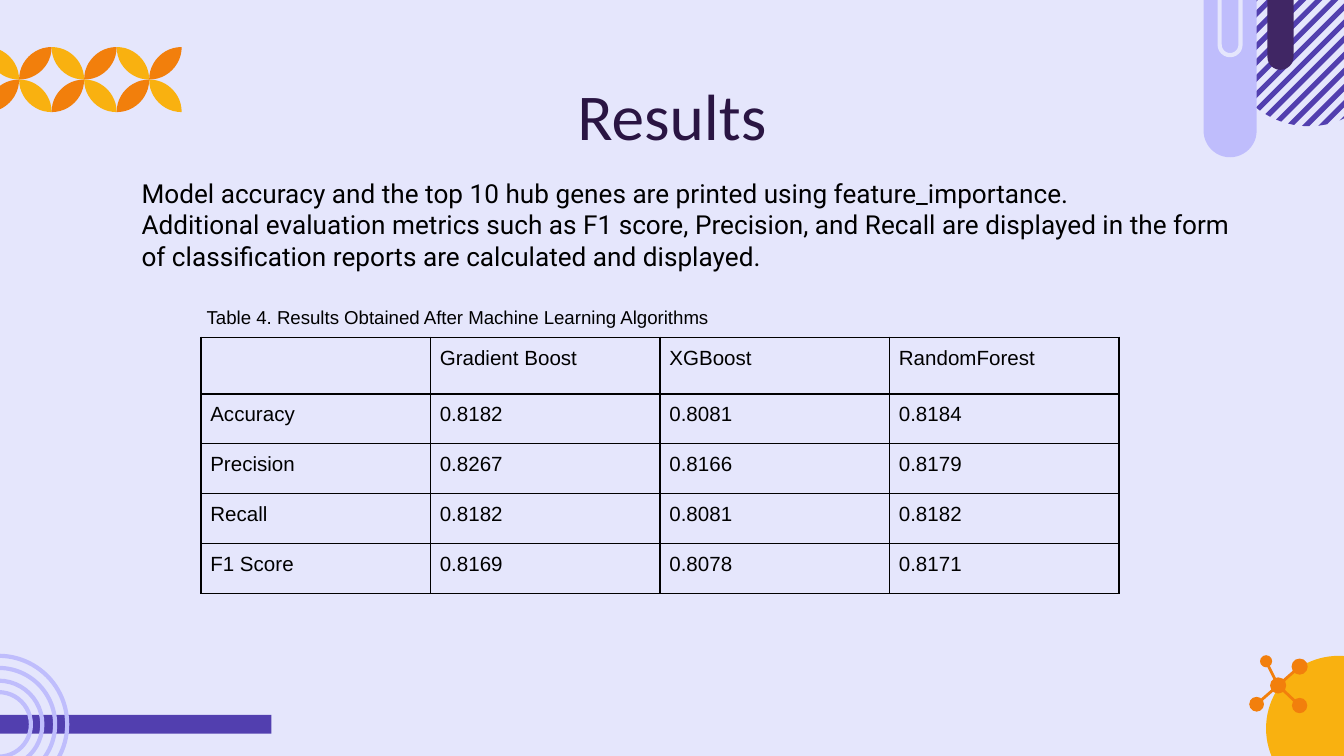
from math import cos, pi, sin, sqrt

from pptx import Presentation
from pptx.dml.color import RGBColor
from pptx.enum.shapes import MSO_CONNECTOR, MSO_SHAPE
from pptx.enum.text import MSO_ANCHOR, PP_ALIGN
from pptx.oxml.ns import qn
from pptx.util import Inches, Pt
from lxml import etree

RECT, OVAL = MSO_SHAPE.RECTANGLE, MSO_SHAPE.OVAL
PILL = MSO_SHAPE.ROUND_2_SAME_RECTANGLE
STRAIGHT = MSO_CONNECTOR.STRAIGHT
TOP, MIDDLE = MSO_ANCHOR.TOP, MSO_ANCHOR.MIDDLE
LEFT, CENTER, JUSTIFY = PP_ALIGN.LEFT, PP_ALIGN.CENTER, PP_ALIGN.JUSTIFY

LAVENDER = RGBColor(0xE5, 0xE6, 0xFC)
LILAC = RGBColor(0xBF, 0xBD, 0xFC)
VIOLET = RGBColor(0x52, 0x3F, 0xAF)
PLUM = RGBColor(0x40, 0x26, 0x64)
INK = RGBColor(0x2A, 0x15, 0x43)
YELLOW = RGBColor(0xF9, 0xB1, 0x10)
ORANGE = RGBColor(0xF2, 0x7F, 0x0C)
BLACK = RGBColor(0, 0, 0)

# A 16:9 slide on a grid of 100 columns; cells are 0.1 inch squares
WIDTH = Inches(10)
HEIGHT = WIDTH * 9 // 16
CELL = WIDTH // 100

METRICS = [
    ["", "Gradient Boost", "XGBoost", "RandomForest"],
    ["Accuracy", "0.8182", "0.8081", "0.8184"],
    ["Precision", "0.8267", "0.8166", "0.8179"],
    ["Recall", "0.8182", "0.8081", "0.8182"],
    ["F1 Score", "0.8169", "0.8078", "0.8171"],
]


def grid(*values):
    return [round(v * CELL) for v in values]


class Canvas:
    """Current slide plus the shared style; all lengths are in grid cells."""

    def __init__(self, slide, background):
        self.slide = slide
        self.target = slide.shapes
        slide.background.fill.solid()
        slide.background.fill.fore_color.rgb = background

    def open_group(self):
        self.target = self.slide.shapes.add_group_shape().shapes

    def close_group(self):
        self.target = self.slide.shapes

    def paint(self, s, fill=None, line=None):
        s.shadow.inherit = False
        if fill is None:
            s.fill.background()
        else:
            s.fill.solid()
            s.fill.fore_color.rgb = fill
        if line is None:
            s.line.fill.background()
        else:
            s.line.color.rgb = line
            s.line.width = Pt(2.25)
        return s

    def shape(self, kind, x, y, w, h, fill=None, line=None):
        return self.paint(self.target.add_shape(kind, *grid(x, y, w, h)), fill, line)

    def circle(self, cx, cy, r, fill=None, line=None):
        self.shape(OVAL, cx - r, cy - r, 2 * r, 2 * r, fill, line)

    def pill(self, x, w, bottom, fill=None, line=None):
        s = self.shape(PILL, x, -0.8, w, bottom + 0.8, fill, line)
        s.adjustments[0], s.adjustments[1] = 0, 0.5

    def polygon(self, points, fill):
        start, *rest = [grid(*p) for p in points]
        builder = self.target.build_freeform(*start)
        builder.add_line_segments(rest, close=True)
        self.paint(builder.convert_to_shape(), fill)

    def link(self, start, end, color):
        s = self.target.add_connector(STRAIGHT, *grid(*start, *end))
        s.line.color.rgb = color
        s.line.width = Pt(1.5)
        etree.SubElement(s._element.spPr, qn("a:effectLst"))

    def style(self, p, size, font, color, align):
        p.alignment = align
        p.font.size = Pt(size)
        for r in p.runs:
            r.font.size, r.font.name = Pt(size), font
            r.font.color.rgb = color

    def text(self, x, y, w, h, lines, size, font, color=BLACK,
             align=LEFT, anchor=TOP, inset_top=1):
        tf = self.target.add_textbox(*grid(x, y, w, h)).text_frame
        tf.word_wrap = True
        tf.vertical_anchor = anchor
        tf.margin_left = tf.margin_right = tf.margin_bottom = CELL
        tf.margin_top = grid(inset_top)[0]
        tf.text = "\n".join(lines)
        for p in tf.paragraphs:
            self.style(p, size, font, color, align)

    def border(self, cell):
        tc_pr = cell._tc.get_or_add_tcPr()
        for i, side in enumerate(("lnL", "lnR", "lnT", "lnB")):
            ln = etree.Element(qn(f"a:{side}"), w=str(Pt(1)))
            fill = etree.SubElement(ln, qn("a:solidFill"))
            etree.SubElement(fill, qn("a:srgbClr"), val=str(BLACK))
            tc_pr.insert(i, ln)

    def table(self, x, y, col_width, heights, rows):
        w, h = col_width * len(rows[0]), sum(heights)
        table = self.target.add_table(len(rows), len(rows[0]), *grid(x, y, w, h)).table
        table.first_row = table.horz_banding = False
        for column in table.columns:
            column.width = grid(col_width)[0]
        for row, height, values in zip(table.rows, heights, rows):
            row.height = grid(height)[0]
            for cell, value in zip(row.cells, values):
                cell.text = value
                cell.margin_left = cell.margin_right = Inches(0.07)
                cell.margin_top = cell.margin_bottom = Inches(0.07)
                self.style(cell.text_frame.paragraphs[0], 11, "Arial", BLACK, JUSTIFY)
                cell.fill.background()
                self.border(cell)


def stripes(canvas, cx, cy, r):
    """Diagonal bands clipped to a circle; each band lies between two sums x + y."""
    def chord(total):
        reach = sqrt(2 * r * r - (total - cx - cy) ** 2)
        ends = [cx - cy - reach, cx - cy + reach]
        return [((total + u) / 2, (total - u) / 2) for u in ends]

    canvas.open_group()
    for i in range(15):
        low = cx + cy - 8.65 + 1.2 * i
        canvas.polygon(chord(low) + chord(low + 0.55)[::-1], VIOLET)
    canvas.close_group()


def petals(canvas, left, top, size):
    """Two rows of leaves, each one the overlap of two quarter circles."""
    turns = [i * pi / 24 for i in range(13)]
    leaf = [(sin(t), 1 - cos(t)) for t in turns]
    leaf += [(1 - sin(t), cos(t)) for t in turns[1:-1]]
    canvas.open_group()
    for col in range(6):
        for row in range(2):
            falling = (row + col) % 2 == 0
            points = [(left + size * (col + (u if falling else 1 - u)),
                       top + size * (row + v)) for u, v in leaf]
            canvas.polygon(points, YELLOW if falling else ORANGE)
    canvas.close_group()


def molecule(canvas, hub, atoms):
    canvas.open_group()
    for x, y, r in atoms:
        canvas.link(hub, (x, y), ORANGE)
        canvas.circle(x, y, r, ORANGE)
    canvas.circle(*hub, 0.6, ORANGE)
    canvas.close_group()


def main():
    prs = Presentation()
    prs.slide_width, prs.slide_height = WIDTH, HEIGHT
    canvas = Canvas(prs.slides.add_slide(prs.slide_layouts[6]), LAVENDER)

    # Bottom corners: bar, sun and rings
    canvas.shape(RECT, -1, 53.2, 21.2, 1.4, VIOLET)
    canvas.circle(99.6, 54.2, 5.4, YELLOW)
    canvas.open_group()
    for r in (5.1, 4.2, 3.25, 2.4):
        canvas.circle(-0.1, 53.9, r, line=LILAC)
    canvas.close_group()

    # Top right: striped disc and hanging pills
    stripes(canvas, 97.4, 3.1, 6.3)
    canvas.pill(94.3, 1.95, 5.2, PLUM)
    canvas.pill(89.55, 3.95, 11.7, LILAC)
    canvas.pill(90.75, 1.55, 4.1, line=LAVENDER)

    # Top left petals, bottom right molecule
    petals(canvas, -1, 3.5, 2.42)
    molecule(canvas, (95.1, 51), [(94.2, 49.2, 0.45), (96.7, 49.6, 0.6),
                                  (93.5, 52.4, 0.55), (96.7, 52.5, 0.57)])

    # Title and body
    canvas.text(7.8, 5.9, 84.4, 5.2, ["Results"], 35, "Calibri", INK, CENTER, MIDDLE)
    canvas.text(9.55, 12.2, 83.6, 11.2, [
        "Model accuracy and the top 10 hub genes are printed using feature_importance.",
        "Additional evaluation metrics such as F1 score, Precision, and Recall are "
        "displayed in the form of classification reports are calculated and displayed.",
    ], 14, "Roboto")

    # Results table and its caption
    canvas.table(14.95, 25.1, 17.08, [4.2] + [3.72] * 4, METRICS)
    canvas.text(14.4, 22.75, 45, 3.2,
                ["Table 4. Results Obtained After Machine Learning Algorithms"],
                10, "Arial", align=JUSTIFY, inset_top=0)

    prs.save("out.pptx")


if __name__ == "__main__":
    main()
